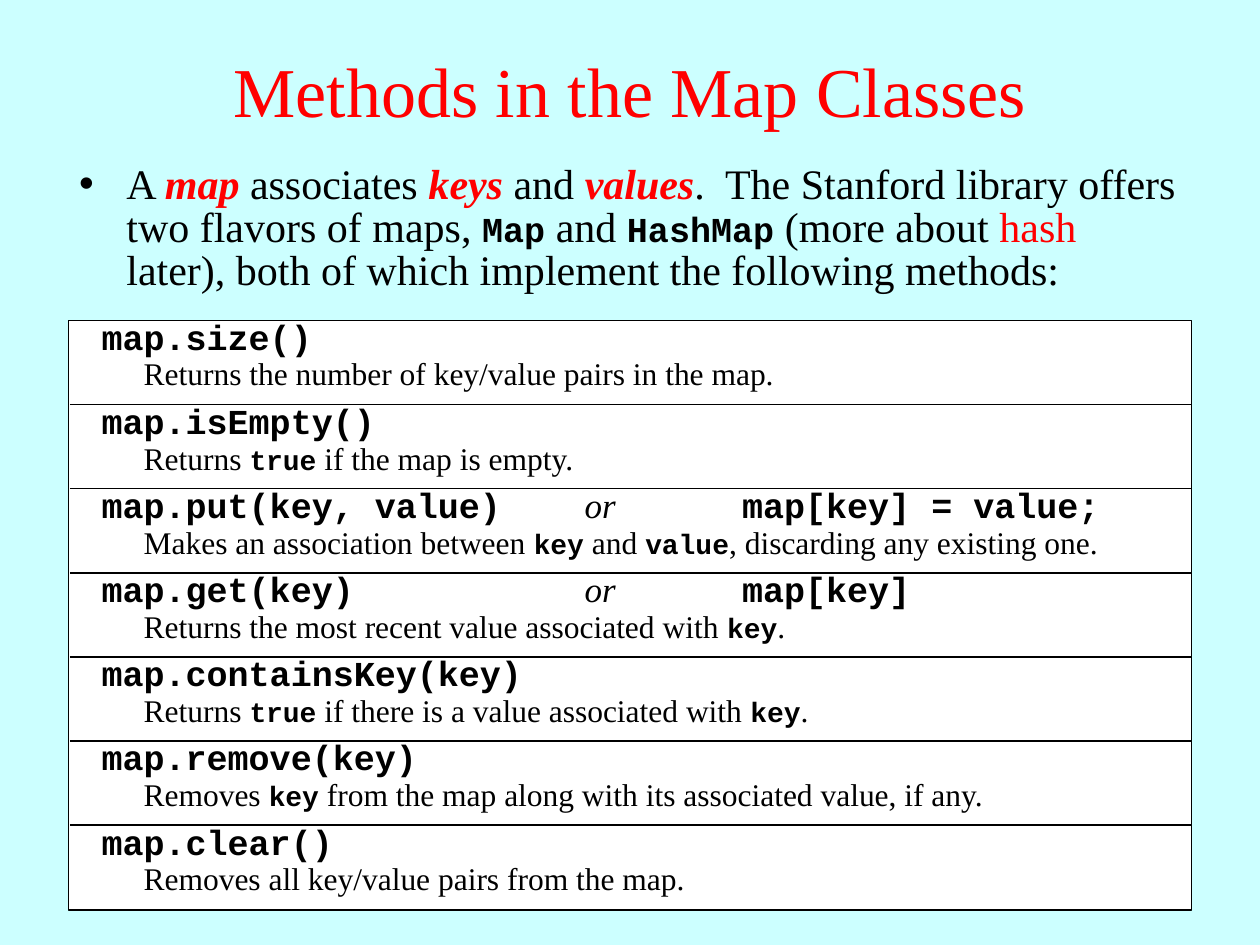
from lxml import etree
from pptx import Presentation
from pptx import util as u
from pptx.dml import color
from pptx.enum import shapes, text
from pptx.oxml import ns

SERIF, MONO = "Times New Roman", "Courier New"
BLACK, RED, WHITE, CYAN = "000000", "FF0000", "FFFFFF", "CCFFFF"

# Run styles: font, size, colour, bold, italic
INTRO = (SERIF, 24, BLACK, False, False)
TERM = (SERIF, 24, RED, True, True)
HASH = (SERIF, 24, RED, False, False)
CALL = (MONO, 20, BLACK, True, False)
OR = (SERIF, 20, BLACK, False, True)
NOTE = (SERIF, 18, BLACK, False, False)
NOTE_CODE = (MONO, 16, BLACK, True, False)
TITLE = (SERIF, 40, RED, False, False)

INTRO_RUNS = [
    ("A ", INTRO), ("map", TERM), (" associates ", INTRO), ("keys", TERM),
    (" and ", INTRO), ("values", TERM),
    (".  The Stanford library offers two flavors of maps, ", INTRO),
    ("Map", CALL), (" and ", INTRO), ("HashMap", CALL),
    (" (more about ", INTRO), ("hash", HASH),
    (" later), both of which implement the following methods:", INTRO),
]

# Call, equivalent bracket form, description with code between bars
METHODS = [
    ("map.size()", "", "Returns the number of key/value pairs in the map."),
    ("map.isEmpty()", "", "Returns |true| if the map is empty."),
    ("map.put(key, value)", "map[key] = value;",
     "Makes an association between |key| and |value|, discarding any existing one."),
    ("map.get(key)", "map[key]",
     "Returns the most recent value associated with |key|."),
    ("map.containsKey(key)", "",
     "Returns |true| if there is a value associated with |key|."),
    ("map.remove(key)", "",
     "Removes |key| from the map along with its associated value, if any."),
    ("map.clear()", "", "Removes all key/value pairs from the map."),
]
ROW_HEIGHT = 48.1
TAB_STOPS = (276, 366)


def rgb(value):
    return color.RGBColor.from_string(value)


class SlideBuilder:
    """Holds the current slide and draws each kind of element on it."""

    def __init__(self, presentation, background):
        self.slide = presentation.slides.add_slide(presentation.slide_layouts[1])
        self.slide.background.fill.solid()
        self.slide.background.fill.fore_color.rgb = rgb(background)

    def add_runs(self, paragraph, runs):
        for words, (name, size, colour, bold, italic) in runs:
            run = paragraph.add_run()
            run.text = words
            run.font.name, run.font.size = name, u.Pt(size)
            run.font.bold, run.font.italic = bold, italic
            run.font.color.rgb = rgb(colour)

    def place(self, shape, left, top, width, height):
        shape.left, shape.top = u.Pt(left), u.Pt(top)
        shape.width, shape.height = u.Pt(width), u.Pt(height)
        shape.text_frame.auto_size = text.MSO_AUTO_SIZE.NONE

    def title(self, words, *box):
        shape = self.slide.shapes.title
        self.place(shape, *box)
        shape.text_frame.vertical_anchor = text.MSO_ANCHOR.MIDDLE
        paragraph = shape.text_frame.paragraphs[0]
        paragraph.alignment = text.PP_ALIGN.CENTER
        self.add_runs(paragraph, [(words, TITLE)])

    def bullet(self, runs, *box):
        shape = self.slide.placeholders[1]
        self.place(shape, *box)
        paragraph = shape.text_frame.paragraphs[0]
        paragraph.line_spacing = 0.85
        paragraph.space_before = u.Pt(0)
        properties = paragraph._p.get_or_add_pPr()
        properties.set("marL", str(u.Pt(27)))
        properties.set("indent", str(u.Pt(-27)))
        etree.SubElement(properties, ns.qn("a:buChar")).set("char", "•")
        self.add_runs(paragraph, runs)

    def panel(self, *box):
        shape = self.slide.shapes.add_shape(
            shapes.MSO_SHAPE.RECTANGLE, *map(u.Pt, box))
        shape.shadow.inherit = False
        shape.fill.solid()
        shape.fill.fore_color.rgb = rgb(WHITE)
        shape.line.color.rgb = rgb(BLACK)
        shape.line.width = u.Pt(0.75)

    def rule(self, left, right, y):
        line = self.slide.shapes.add_connector(
            shapes.MSO_CONNECTOR.STRAIGHT, u.Pt(left), u.Pt(y), u.Pt(right), u.Pt(y))
        line.line.color.rgb = rgb(BLACK)
        line.line.width = u.Pt(1)
        etree.SubElement(line._element.spPr, ns.qn("a:effectLst"))

    def label(self, runs, *box, tabs=()):
        shape = self.slide.shapes.add_textbox(*map(u.Pt, box))
        shape.text_frame.word_wrap = True
        paragraph = shape.text_frame.paragraphs[0]
        if tabs:
            properties = paragraph._p.get_or_add_pPr()
            stops = etree.SubElement(properties, ns.qn("a:tabLst"))
            for position in tabs:
                stop = etree.SubElement(stops, ns.qn("a:tab"))
                stop.set("pos", str(u.Pt(position)))
                stop.set("algn", "l")
        self.add_runs(paragraph, runs)


def main():
    presentation = Presentation()
    presentation.slide_width, presentation.slide_height = u.Pt(720), u.Pt(540)
    builder = SlideBuilder(presentation, CYAN)

    # Heading and introduction
    builder.title("Methods in the Map Classes", 0, 6, 720, 90)
    builder.bullet(INTRO_RUNS, 38, 91, 646, 89)

    # Method rows
    builder.panel(39, 183, 642, 337)
    for row, (call, bracket_form, note) in enumerate(METHODS):
        offset = row * ROW_HEIGHT
        if row:
            builder.rule(40, 681, 183 + offset)
        call_runs = [(call, CALL)]
        if bracket_form:
            call_runs += [("\tor\t", OR), (bracket_form, CALL)]
        builder.label(call_runs, 51, 176.5 + offset, 618, 31,
                      tabs=TAB_STOPS if bracket_form else ())
        note_runs = [(part, NOTE_CODE if index % 2 else NOTE)
                     for index, part in enumerate(note.split("|"))]
        builder.label(note_runs, 75, 199 + offset, 605, 29)

    presentation.save("out.pptx")


if __name__ == "__main__":
    main()
